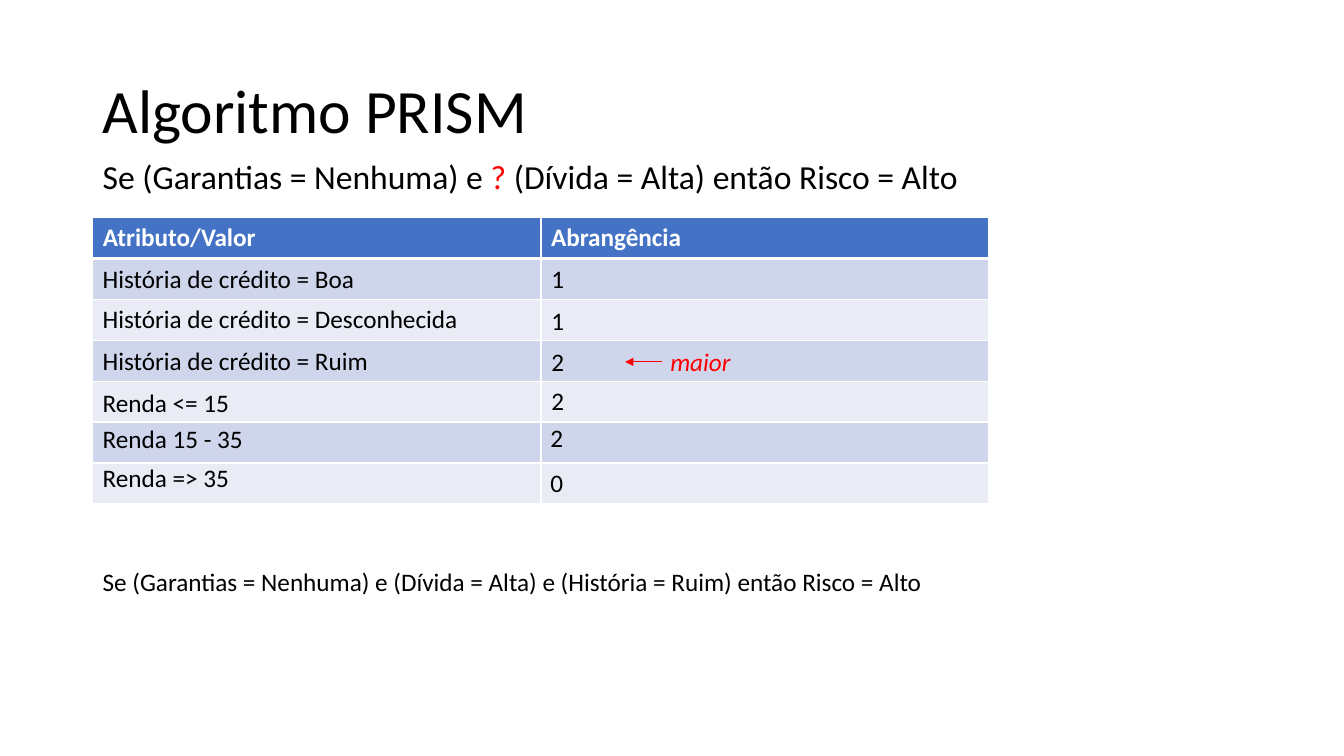
from dataclasses import dataclass

from lxml import etree
from pptx import Presentation
from pptx import util as u
from pptx.dml import color
from pptx.enum import shapes, text
from pptx.oxml import ns

SCALE = 9144
BLACK, RED, WHITE = "000000", "FF0000", "FFFFFF"
HEAD, BANDS = "4472C4", ("CFD5EA", "E9EBF5")
LEFT, RIGHT = 92, 537


def px(n: int) -> u.Emu:
    return u.Emu(n * SCALE)


def rgb(code: str) -> color.RGBColor:
    return color.RGBColor.from_string(code)


@dataclass
class Run:
    words: str
    hue: str = BLACK
    size: int = 18
    bold: bool = False
    slant: bool = False


@dataclass
class Label:
    x: int
    y: int
    w: int
    h: int
    runs: list[Run]
    wrap: bool = False


@dataclass
class Entry:
    name: str
    wide: int
    top: int
    count: str
    left: int
    level: int


def write(para, run: Run) -> None:
    part = para.add_run()
    part.text = run.words
    style = {"name": "Calibri", "size": u.Pt(run.size),
             "bold": run.bold, "italic": run.slant}
    for key, value in style.items():
        setattr(part.font, key, value)
    part.font.color.rgb = rgb(run.hue)


def put(slide, label: Label):
    box = slide.shapes.add_textbox(*map(px, (label.x, label.y, label.w, label.h)))
    frame = box.text_frame
    frame.word_wrap = label.wrap
    frame.auto_size = text.MSO_AUTO_SIZE.SHAPE_TO_FIT_TEXT
    for run in label.runs:
        write(frame.paragraphs[0], run)
    return frame


def title(slide) -> None:
    frame = put(slide, Label(92, 40, 1150, 145, [Run("Algoritmo PRISM", size=44)], True))
    frame.auto_size = text.MSO_AUTO_SIZE.NONE
    frame.vertical_anchor = text.MSO_ANCHOR.MIDDLE
    frame.paragraphs[0].line_spacing = 0.9


def edge(cell, side: str, width: int) -> None:
    props = cell._tc.get_or_add_tcPr()
    line = etree.SubElement(props, ns.qn(f"a:ln{side}"), w=str(u.Pt(width)))
    fill = etree.SubElement(line, ns.qn("a:solidFill"))
    etree.SubElement(fill, ns.qn("a:srgbClr"), val=WHITE)


def grid(slide, heads: tuple[str, ...], count: int) -> None:
    area = map(px, (LEFT, 216, 889, 284))
    table = slide.shapes.add_table(count + 1, len(heads), *area).table
    for i, row in enumerate(table.rows):
        for j, cell in enumerate(row.cells):
            for side in "LRTB":
                thick = (i, side) in ((0, "B"), (1, "T"))
                edge(cell, side, 3 if thick else 1)
            cell.fill.solid()
            cell.fill.fore_color.rgb = rgb(BANDS[(i - 1) % 2] if i else HEAD)
            if i == 0:
                write(cell.text_frame.paragraphs[0], Run(heads[j], WHITE, bold=True))


def arrow(slide, x: int, y: int, end: int) -> None:
    line = slide.shapes.add_connector(
        shapes.MSO_CONNECTOR.STRAIGHT, px(x), px(y), px(end), px(y))
    line.line.color.rgb = rgb(RED)
    line.line.width = u.Pt(0.5)
    etree.SubElement(line.line._get_or_add_ln(), ns.qn("a:tailEnd"), type="triangle")
    etree.SubElement(line._element.spPr, ns.qn("a:effectLst"))


ENTRIES = [
    Entry("História de crédito = Boa", 273, 256, "1", RIGHT, 256),
    Entry("História de crédito = Desconhecida", 377, 296, "1", RIGHT, 298),
    Entry("História de crédito = Ruim", 286, 338, "2", RIGHT, 339),
    Entry("Renda <= 15", 147, 379, "2", RIGHT, 377),
    Entry("Renda 15 - 35", 161, 415, "2", RIGHT - 1, 414),
    Entry("Renda => 35", 147, 454, "0", RIGHT - 1, 459),
]
RULE = [Run("Se (Garantias = Nenhuma) e ", size=24), Run("?", RED, 24),
        Run(" (Dívida = Alta) então Risco = Alto", size=24)]
RESULT = "Se (Garantias = Nenhuma) e (Dívida = Alta) e (História = Ruim) então Risco = Alto"
LABELS = [
    Label(655, 339, 84, 40, [Run("maior", RED, slant=True)], True),
    Label(LEFT, 150, 877, 50, RULE),
    Label(LEFT, 557, 848, 40, [Run(RESULT)], True),
]


def main() -> None:
    deck = Presentation()
    deck.slide_width, deck.slide_height = px(1333), px(750)
    slide = deck.slides.add_slide(deck.slide_layouts[6])
    title(slide)
    grid(slide, ("Atributo/Valor", "Abrangência"), len(ENTRIES))
    for item in ENTRIES:
        put(slide, Label(LEFT, item.top, item.wide, 40, [Run(item.name)]))
        put(slide, Label(item.left, item.level, 33, 40, [Run(item.count)]))
    for label in LABELS:
        put(slide, label)
    arrow(slide, 657, 359, 620)
    deck.save("out.pptx")


if __name__ == "__main__":
    main()
